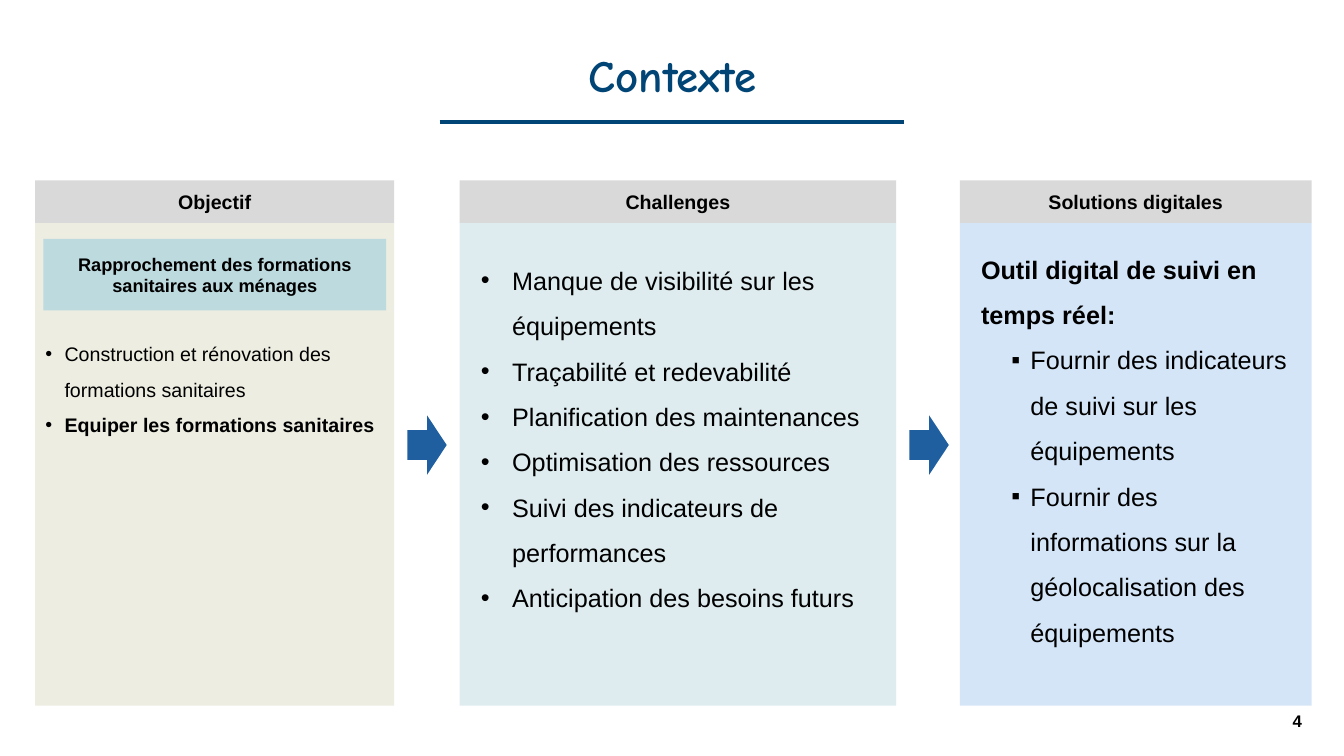
"""Build the "Contexte" slide: objective, challenges and digital solutions."""
from dataclasses import dataclass

from lxml import etree
from pptx import Presentation
from pptx.dml.color import RGBColor
from pptx.enum.shapes import MSO_CONNECTOR, MSO_SHAPE
from pptx.enum.text import MSO_ANCHOR, MSO_AUTO_SIZE, PP_ALIGN
from pptx.oxml.ns import qn
from pptx.util import Inches, Pt

RECTANGLE, RIGHT_ARROW = MSO_SHAPE.RECTANGLE, MSO_SHAPE.RIGHT_ARROW
STRAIGHT = MSO_CONNECTOR.STRAIGHT
TOP, MIDDLE = MSO_ANCHOR.TOP, MSO_ANCHOR.MIDDLE
LEFT, CENTER, RIGHT = PP_ALIGN.LEFT, PP_ALIGN.CENTER, PP_ALIGN.RIGHT
NO_AUTOFIT = MSO_AUTO_SIZE.NONE

COLORS = {
    "title": "004575",
    "text": "000000",
    "header": "D9D9D9",
    "objective": "EDEDE1",
    "callout": "BDDADF",
    "challenges": "DEECEF",
    "solutions": "D4E5F7",
    "arrow": "1F5FA0",
}
HEADER_TOP, HEADER_HEIGHT, PANEL_HEIGHT = 1.79, 0.42, 4.79
COMPARISON_LAYOUT = 4


@dataclass(frozen=True)
class Item:
    """One paragraph of a list."""
    text: str
    bold: bool = False
    bullet: str = "•"
    margin: float = 0.19
    hanging: float = 0.19
    level: int = 0


@dataclass(frozen=True)
class Column:
    """A headed panel and the list that it holds."""
    heading: str
    color: str
    left: float
    width: float
    list_box: tuple[float, float, float, float]
    size: int
    items: tuple[Item, ...]
    placeholder: int


def challenge(text: str) -> Item:
    """Describe one challenge."""
    return Item(text, margin=0.31, hanging=0.31)


def solution(text: str) -> Item:
    """Describe one function of the digital tool."""
    return Item(text, bullet="▪", margin=0.49, level=1)


COLUMNS = (
    Column("Objectif", "objective", 0.35, 3.56, (0.35, 3.23, 3.56, 1.12), 14, (
        Item("Construction et rénovation des formations sanitaires"),
        Item("Equiper les formations sanitaires", bold=True),
    ), 1),
    Column("Challenges", "challenges", 4.56, 4.33, (4.67, 2.43, 4.11, 3.68), 18, (
        challenge("Manque de visibilité sur les équipements"),
        challenge("Traçabilité et redevabilité"),
        challenge("Planification des maintenances"),
        challenge("Optimisation des ressources"),
        challenge("Suivi des indicateurs de performances"),
        challenge("Anticipation des besoins futurs"),
    ), 2),
    Column("Solutions digitales", "solutions", 9.52, 3.49, (9.63, 2.32, 3.29, 4.13), 18, (
        Item("Outil digital de suivi en temps réel:", bold=True, bullet="", margin=0, hanging=0),
        solution("Fournir des indicateurs de suivi sur les équipements"),
        solution("Fournir des informations sur la géolocalisation des équipements"),
    ), 3),
)


def rgb(name: str) -> RGBColor:
    """Look up a colour by its role."""
    return RGBColor.from_string(COLORS[name])


def write(paragraph, text: str, *, size: float, font: str = "Arial", color: str = "text",
          bold: bool = False, align=LEFT) -> None:
    """Add formatted text to a paragraph."""
    paragraph.alignment = align
    run = paragraph.add_run()
    run.text = text
    run.font.name, run.font.size, run.font.bold = font, Pt(size), bold
    run.font.color.rgb = rgb(color)


def place(shape, left: float, top: float, width: float, height: float) -> None:
    """Move and size a shape in inches."""
    shape.left, shape.top = Inches(left), Inches(top)
    shape.width, shape.height = Inches(width), Inches(height)


def add_block(slide, kind, color: str, left: float, top: float, width: float, height: float):
    """Add a filled shape without outline or shadow."""
    block = slide.shapes.add_shape(kind, Inches(left), Inches(top), Inches(width), Inches(height))
    block.shadow.inherit = False
    block.fill.solid()
    block.fill.fore_color.rgb = rgb(color)
    block.line.fill.background()
    return block


def indent(paragraph, item: Item) -> None:
    """Set the level, indents and bullet of a list paragraph."""
    paragraph.level = item.level
    properties = paragraph._p.get_or_add_pPr()
    properties.set("marL", str(Inches(item.margin)))
    properties.set("indent", str(-Inches(item.hanging)))
    if item.bullet:
        etree.SubElement(properties, qn("a:buFont"), typeface="Arial")
        etree.SubElement(properties, qn("a:buChar"), char=item.bullet)
    else:
        etree.SubElement(properties, qn("a:buNone"))


def fill_list(placeholder, column: Column) -> None:
    """Place a body placeholder and write the column's list in it."""
    place(placeholder, *column.list_box)
    frame = placeholder.text_frame
    frame.word_wrap, frame.auto_size, frame.vertical_anchor = True, NO_AUTOFIT, TOP
    for number, item in enumerate(column.items):
        paragraph = frame.add_paragraph() if number else frame.paragraphs[0]
        indent(paragraph, item)
        paragraph.line_spacing = 1.5
        paragraph.space_before = Pt(0)
        write(paragraph, item.text, size=column.size, bold=item.bold)


def add_column(slide, column: Column) -> None:
    """Add a column's panel, heading and list."""
    add_block(slide, RECTANGLE, column.color, column.left, HEADER_TOP + HEADER_HEIGHT,
              column.width, PANEL_HEIGHT)
    heading = add_block(slide, RECTANGLE, "header", column.left, HEADER_TOP,
                        column.width, HEADER_HEIGHT)
    heading.text_frame.word_wrap = False
    heading.text_frame.vertical_anchor = MIDDLE
    write(heading.text_frame.paragraphs[0], column.heading, size=14, bold=True, align=CENTER)
    body = slide.placeholders[column.placeholder]
    fill_list(body, column)
    slide.shapes._spTree.append(body._element)


def add_title(slide) -> None:
    """Write the slide title and underline it."""
    title = slide.shapes.title
    place(title, 0.92, 0.4, 11.5, 0.68)
    title.text_frame.auto_size, title.text_frame.vertical_anchor = NO_AUTOFIT, MIDDLE
    write(title.text_frame.paragraphs[0], "Contexte", size=32, font="Comic Neue",
          color="title", bold=True, align=CENTER)
    rule = slide.shapes.add_connector(STRAIGHT, Inches(4.36), Inches(1.21),
                                      Inches(8.97), Inches(1.21))
    rule.line.color.rgb, rule.line.width = rgb("title"), Pt(3)
    etree.SubElement(rule._element.spPr, qn("a:effectLst"))


def main() -> None:
    """Build and save the presentation."""
    deck = Presentation()
    deck.slide_width, deck.slide_height = Inches(13.33), Inches(7.5)
    slide = deck.slides.add_slide(deck.slide_layouts[COMPARISON_LAYOUT])
    unused = slide.placeholders[4]._element
    unused.getparent().remove(unused)

    add_title(slide)
    for column in COLUMNS:
        add_column(slide, column)
    for arrow_left in (4.04, 9.02):
        add_block(slide, RIGHT_ARROW, "arrow", arrow_left, 4.12, 0.39, 0.59)

    callout = add_block(slide, RECTANGLE, "callout", 0.43, 2.37, 3.4, 0.71)
    callout.text_frame.word_wrap, callout.text_frame.vertical_anchor = True, MIDDLE
    write(callout.text_frame.paragraphs[0], "Rapprochement des formations sanitaires aux ménages",
          size=13, bold=True, align=CENTER)

    page_number = slide.shapes.add_textbox(Inches(12.1), Inches(6.95), Inches(0.91), Inches(0.4))
    page_number.text_frame.word_wrap, page_number.text_frame.vertical_anchor = True, MIDDLE
    write(page_number.text_frame.paragraphs[0], "4", size=12, bold=True, align=RIGHT)
    deck.save("out.pptx")


if __name__ == "__main__":
    main()
